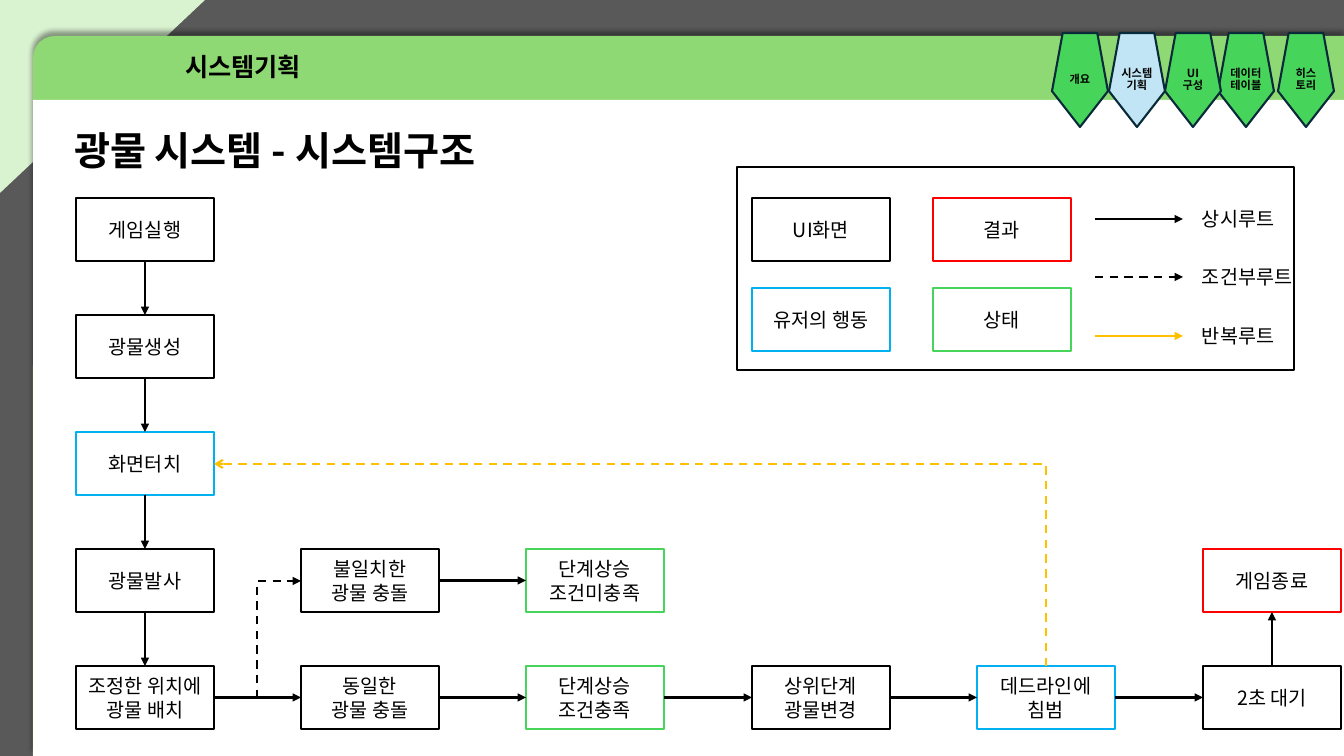
from lxml.etree import SubElement
from pptx import Presentation
from pptx.dml.color import RGBColor
from pptx.enum.dml import MSO_LINE
from pptx.enum.shapes import MSO_CONNECTOR as Link, MSO_SHAPE as Preset
from pptx.enum.text import MSO_ANCHOR as Anchor, MSO_AUTO_SIZE as AutoSize, PP_ALIGN as Align
from pptx.oxml.ns import qn
from pptx.util import Pt

BLACK = RGBColor(0x00, 0x00, 0x00)
WHITE = RGBColor(0xFF, 0xFF, 0xFF)
GRAY = RGBColor(0x59, 0x59, 0x59)
MINT = RGBColor(0xD9, 0xF2, 0xD0)
BANNER_GREEN = RGBColor(0x8E, 0xD9, 0x73)
GREEN = RGBColor(0x47, 0xD4, 0x5A)
PALE_BLUE = RGBColor(0xC1, 0xE5, 0xF5)
NAVY = RGBColor(0x09, 0x2A, 0x39)
BLUE = RGBColor(0x00, 0xB0, 0xF0)
RED = RGBColor(0xFF, 0x00, 0x00)
GOLD = RGBColor(0xFF, 0xC0, 0x00)

SCALE = 914400 / 100.8  # EMU in one px
BOX_W, BOX_H = 138, 63
TOP, LEFT, BOTTOM, RIGHT = range(4)  # connection sites of a process box


def px(length):
    return round(length * SCALE)


def column(index):
    return 76 + 1127 * index // 5


def row(index):
    return 198 + 117 * index


def write(frame, text, font="Noto Sans CJK KR", size=14, bold=False, align=Align.CENTER,
          anchor=Anchor.MIDDLE, spacing=None, wrap=True):
    frame.auto_size = AutoSize.NONE
    frame.word_wrap = wrap
    frame.vertical_anchor = anchor
    frame.margin_left = frame.margin_right = px(10)
    frame.margin_top = frame.margin_bottom = px(5)
    frame.text = text
    for paragraph in frame.paragraphs:
        paragraph.alignment = align
        paragraph.space_before = Pt(0)
        if spacing:
            paragraph.line_spacing = spacing
        for run in paragraph.runs:
            run.font.name = font
            run.font.size = Pt(size)
            run.font.bold = bold
            run.font.color.rgb = BLACK
            SubElement(run.font._element, qn("a:ea"), typeface=font)


class FlowSlide:
    def __init__(self, slide, line_width=1.5):
        self.slide = slide
        self.shapes = slide.shapes
        self.line_width = Pt(line_width)

    def shape(self, preset, x, y, w, h, fill=None, line=None, flip=None):
        shape = self.shapes.add_shape(preset, px(x), px(y), px(w), px(h))
        shape.shadow.inherit = False
        if fill is None:
            shape.fill.background()
        else:
            shape.fill.solid()
            shape.fill.fore_color.rgb = fill
        if line is None:
            shape.line.fill.background()
        else:
            shape.line.color.rgb = line
            shape.line.width = self.line_width
        if flip:
            shape._element.spPr.find(qn("a:xfrm")).set(flip, "1")
        return shape

    def title(self, text, x, y, w, h):
        title = self.shapes.title
        title.left, title.top, title.width, title.height = map(px, (x, y, w, h))
        write(title.text_frame, text, size=28, bold=True, align=Align.LEFT,
              anchor=Anchor.TOP, spacing=0.9)
        self.shapes._spTree.append(title._element)  # in front of the background

    def label(self, text, x, y, w, h, **style):
        label = self.shapes.add_textbox(px(x), px(y), px(w), px(h))
        write(label.text_frame, text, **style)

    def process(self, text, x, y, color=BLACK):
        box = self.shape(Preset.FLOWCHART_PROCESS, x, y, BOX_W, BOX_H, line=color)
        write(box.text_frame, text)
        return box

    def style_arrow(self, arrow, color, dashed, head):
        arrow.line.color.rgb = color
        arrow.line.width = self.line_width
        if dashed:
            arrow.line.dash_style = MSO_LINE.DASH
        properties = arrow._element.spPr
        SubElement(properties.find(qn("a:ln")), qn("a:tailEnd"), type=head)
        SubElement(properties, qn("a:effectLst"))

    def arrow(self, x0, y0, x1, y1, color=BLACK, dashed=False):
        arrow = self.shapes.add_connector(Link.STRAIGHT, px(x0), px(y0), px(x1), px(y1))
        self.style_arrow(arrow, color, dashed, "triangle")
        return arrow

    def link(self, source, source_site, target, target_site):
        arrow = self.arrow(0, 0, 0, 0)
        arrow.begin_connect(source, source_site)
        arrow.end_connect(target, target_site)

    def elbow_up(self, x0, y0, x1, y1, color=BLACK, head="triangle"):
        """Dashed arrow that rises from the start, then turns sideways to the end."""
        mid_x, mid_y = (x0 + x1) / 2, (y0 + y1) / 2
        rise, run = (y0 - y1) / 2, (x1 - x0) / 2
        elbow = self.shapes.add_connector(Link.ELBOW, px(mid_x - rise), px(mid_y - run),
                                          px(mid_x + rise), px(mid_y + run))
        properties = elbow._element.spPr
        properties.find(qn("a:xfrm")).set("rot", str(270 * 60000))
        properties.find(qn("a:prstGeom")).set("prst", "bentConnector2")
        self.style_arrow(elbow, color, True, head)


def draw_background(page):
    page.shape(Preset.RECTANGLE, 0, 0, 1344, 756, GRAY)
    page.shape(Preset.RIGHT_TRIANGLE, 0, 0, 205, 193, MINT, flip="flipV")
    banner = page.shape(Preset.ROUND_1_RECTANGLE, 33, 36, 1311, 720, BANNER_GREEN, flip="flipH")
    banner.adjustments[0] = 0.03
    effects = banner._element.spPr.find(qn("a:effectLst"))
    shadow = SubElement(effects, qn("a:outerShdw"), blurRad=str(Pt(4)), dist=str(Pt(3)),
                        dir=str(270 * 60000), rotWithShape="0")
    shade = SubElement(shadow, qn("a:srgbClr"), val=str(BLACK))
    SubElement(shade, qn("a:alpha"), val="40000")
    page.shape(Preset.RECTANGLE, 33, 100, 1311, 656, WHITE)


def draw_tabs(page):
    tabs = [("개요", 1052, 48), ("시스템기획", 1109, 58), ("UI\n구성", 1165, 48),
            ("데이터테이블", 1218, 58), ("히스토리", 1278, 48)]
    for text, x, _ in reversed(tabs):
        fill = PALE_BLUE if text == "시스템기획" else GREEN
        page.shape(Preset.REGULAR_PENTAGON, x, 33, 56, 94, fill, NAVY, flip="flipV")
    for text, x, width in tabs:
        page.label(text, x + 28 - width // 2, 50, width, 59, size=8, bold=True, spacing=0.9)


def draw_flow(page):
    steps = [("게임실행", BLACK), ("광물생성", BLACK), ("화면터치", BLUE), ("광물발사", BLACK)]
    down = [page.process(text, column(0), row(i), color) for i, (text, color) in enumerate(steps)]
    outcomes = [("조정한 위치에\n광물 배치", BLACK), ("동일한\n광물 충돌", BLACK),
                ("단계상승\n조건충족", GREEN), ("상위단계\n광물변경", BLACK),
                ("데드라인에\n침범", BLUE), ("2초 대기", BLACK)]
    across = [page.process(text, column(i), row(4), color)
              for i, (text, color) in enumerate(outcomes)]
    down.append(across[0])
    mismatch = page.process("불일치한\n광물 충돌", column(1), row(3))
    unmet = page.process("단계상승\n조건미충족", column(2), row(3), GREEN)
    game_over = page.process("게임종료", column(5), row(3), RED)

    for upper, lower in zip(down, down[1:]):
        page.link(upper, BOTTOM, lower, TOP)
    for before, after in [*zip(across, across[1:]), (mismatch, unmet)]:
        page.link(before, RIGHT, after, LEFT)
    page.link(across[-1], TOP, game_over, BOTTOM)
    page.elbow_up(257, 698, column(1), 581)
    page.elbow_up(column(4) + BOX_W // 2, row(4), column(0) + BOX_W, 464, GOLD, "arrow")


def draw_legend(page):
    page.shape(Preset.RECTANGLE, 737, 167, 557, 203, line=BLACK)
    kinds = [("UI화면", BLACK), ("결과", RED), ("유저의 행동", BLUE), ("상태", GREEN)]
    for i, (text, color) in enumerate(kinds):
        page.process(text, 752 + 181 * (i % 2), 198 + 90 * (i // 2), color)
    routes = [("상시루트", BLACK, False), ("조건부루트", BLACK, True), ("반복루트", GOLD, False)]
    for i, (text, color, dashed) in enumerate(routes):
        y = 219 + 117 * i // 2
        page.arrow(1095, y, 1183, y, color, dashed)
        page.label(text, 1192, y - 17, 117, 34, align=Align.LEFT, anchor=Anchor.TOP, wrap=False)


def main():
    deck = Presentation()
    deck.slide_width, deck.slide_height = px(1344), px(756)
    page = FlowSlide(deck.slides.add_slide(deck.slide_layouts[5]))
    draw_background(page)
    page.title("광물 시스템 - 시스템구조", 64, 127, 452, 49)
    page.label("시스템기획", 38, 39, 410, 59, size=18, bold=True, spacing=0.9)
    draw_tabs(page)
    draw_flow(page)
    draw_legend(page)
    deck.save("out.pptx")


if __name__ == "__main__":
    main()
